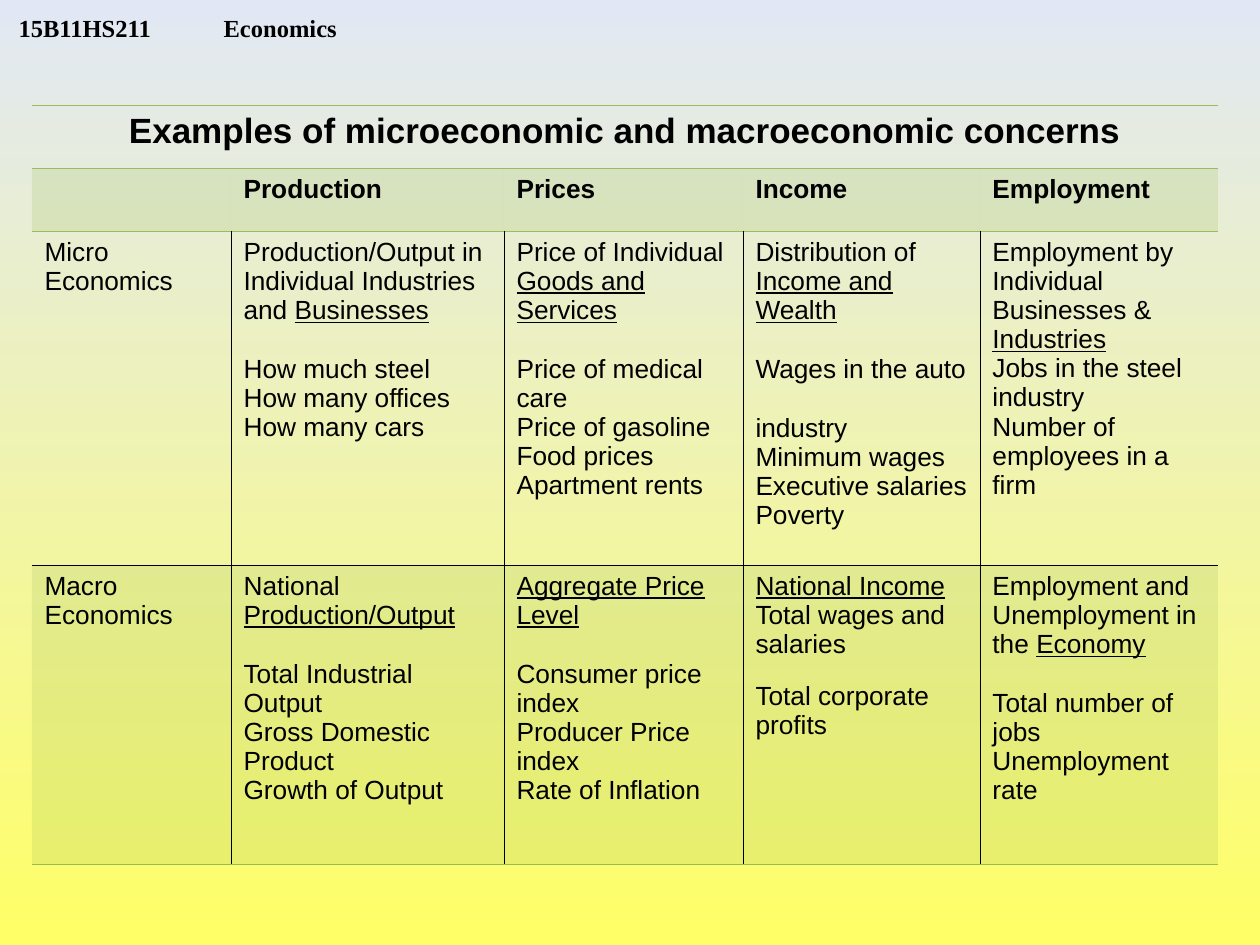
from lxml import etree
from pptx import Presentation
from pptx import util as u
from pptx.dml.color import RGBColor
from pptx.enum import text
from pptx.oxml import parse_xml
from pptx.oxml.ns import nsdecls, qn

PX = 914400 / 126
COLORS = {"ink": "000000", "green": "9BBB59", "yellow": "FFFF66", "sky": "E1E8F5"}
NO_STYLE_NO_GRID = "{2D5ABB26-0587-4C30-8999-92F81FD0307C}"
BORDER_WIDTH = u.Pt(0.45)
LINE_GAP = 17
SHORT_GAP = 13

COLUMN_WIDTHS = [199, 273, 239, 237, 238]
ROW_HEIGHTS = [63, 63, 334, 299]
SHADED_ROWS = (1, 3)
FIRST_BODY_ROW = 2
ROW_EDGES = [("green", "green"), ("green", None), (None, "ink"), ("ink", "green")]


def px(length):
    return u.Emu(round(length * PX))


def rgb(name):
    return RGBColor.from_string(COLORS[name])


def line(plain, underlined="", gap=0):
    """One paragraph: plain text, an underlined ending, and points of space before."""
    return plain, underlined, gap


TITLE = "Examples of microeconomic and macroeconomic concerns"
HEADINGS = ["", "Production", "Prices", "Income", "Employment"]
MICRO = [
    [line("Micro"), line("Economics")],
    [line("Production/Output in Individual Industries and ", "Businesses"),
     line("How much steel", gap=LINE_GAP), line("How many offices"),
     line("How many cars")],
    [line("Price of Individual ", "Goods and Services"),
     line("Price of medical care", gap=LINE_GAP), line("Price of gasoline"),
     line("Food prices"), line("Apartment rents")],
    [line("Distribution of ", "Income and Wealth"),
     line("Wages in the auto", gap=LINE_GAP), line("industry", gap=LINE_GAP),
     line("Minimum wages"), line("Executive salaries"), line("Poverty")],
    [line("Employment by Individual Businesses & ", "Industries"),
     line("Jobs in the steel industry"), line("Number of employees in a firm")],
]
MACRO = [
    [line("Macro"), line("Economics")],
    [line("National ", "Production/Output"),
     line("Total Industrial Output", gap=LINE_GAP),
     line("Gross Domestic Product"), line("Growth of Output")],
    [line("", "Aggregate Price Level"),
     line("Consumer price index", gap=LINE_GAP), line("Producer Price index"),
     line("Rate of Inflation")],
    [line("", "National Income"), line("Total wages and salaries"),
     line("Total corporate profits", gap=SHORT_GAP)],
    [line("Employment and Unemployment in the ", "Economy"),
     line("Total number of jobs", gap=LINE_GAP), line("Unemployment rate")],
]
ROWS = [[[line(TITLE)]], [[line(heading)] for heading in HEADINGS], MICRO, MACRO]


def format_font(font, name, size, bold):
    font.name, font.size, font.bold = name, u.Pt(size), bold
    font.color.rgb = rgb("ink")


def paint_background(slide):
    fill = slide.background.fill
    fill.gradient()
    fill.gradient_angle = 90
    for stop, name in zip(fill.gradient_stops, ("yellow", "sky")):
        stop.color.rgb = rgb(name)


def add_course_header(slide, left, top, width, height):
    header = slide.shapes.title
    header.left, header.top = px(left), px(top)
    header.width, header.height = px(width), px(height)
    frame = header.text_frame
    frame.margin_top = frame.margin_bottom = 0
    frame.vertical_anchor = text.MSO_ANCHOR.BOTTOM
    frame.auto_size = text.MSO_AUTO_SIZE.NONE
    frame.text = "15B11HS211\tEconomics"
    paragraph = frame.paragraphs[0]
    paragraph.alignment = text.PP_ALIGN.LEFT
    paragraph.line_spacing = 1.0
    properties = paragraph._p.get_or_add_pPr()
    tabs = etree.SubElement(properties, qn("a:tabLst"))
    etree.SubElement(tabs, qn("a:tab"), pos=str(px(205)), algn="l")
    for run in paragraph.runs:
        format_font(run.font, "Times New Roman", 14, True)


def write_cell(cell, lines, size, bold, alignment):
    frame = cell.text_frame
    for index, (plain, underlined, gap) in enumerate(lines):
        paragraph = frame.add_paragraph() if index else frame.paragraphs[0]
        paragraph.alignment = alignment
        if gap:
            paragraph.space_before = u.Pt(gap)
        for content, is_underlined in ((plain, False), (underlined, True)):
            if content:
                run = paragraph.add_run()
                run.text = content
                format_font(run.font, "Arial", size, bold)
                run.font.underline = is_underlined


def set_borders(cell, edges):
    """Draw the coloured edges, given in the order left, right, top, bottom."""
    properties = cell._tc.get_or_add_tcPr()
    drawn = [(side, name) for side, name in zip("LRTB", edges) if name]
    for index, (side, name) in enumerate(drawn):
        properties.insert(index, parse_xml(
            f'<a:ln{side} {nsdecls("a")} w="{BORDER_WIDTH}"><a:solidFill>'
            f'<a:srgbClr val="{COLORS[name]}"/></a:solidFill></a:ln{side}>'))


def shade_cell(cell, shaded):
    if not shaded:
        cell.fill.background()
        return
    cell.fill.solid()
    cell.fill.fore_color.rgb = rgb("green")
    color = cell._tc.tcPr.find(qn("a:solidFill"))[0]
    etree.SubElement(color, qn("a:alpha"), val="20000")


def add_concerns_table(slide, left, top):
    frame = slide.shapes.add_table(
        len(ROW_HEIGHTS), len(COLUMN_WIDTHS), px(left), px(top),
        px(sum(COLUMN_WIDTHS)), px(sum(ROW_HEIGHTS)))
    table = frame.table
    table.first_row = table.horz_banding = False
    table._tbl.tblPr.find(qn("a:tableStyleId")).text = NO_STYLE_NO_GRID
    for column, width in zip(table.columns, COLUMN_WIDTHS):
        column.width = px(width)
    for row, height in zip(table.rows, ROW_HEIGHTS):
        row.height = px(height)
    last = len(COLUMN_WIDTHS) - 1
    table.cell(0, 0).merge(table.cell(0, last))

    for r, (contents, (above, below)) in enumerate(zip(ROWS, ROW_EDGES)):
        is_body = r >= FIRST_BODY_ROW
        size = 15 if r else 20
        alignment = text.PP_ALIGN.LEFT if r else text.PP_ALIGN.CENTER
        for c, lines in enumerate(contents):
            write_cell(table.cell(r, c), lines, size, not is_body, alignment)
        for c in range(last + 1):
            cell = table.cell(r, c)
            shade_cell(cell, r in SHADED_ROWS)
            before = "ink" if is_body and c > 0 else None
            after = "ink" if is_body and c < last else None
            set_borders(cell, (before, after, above, below))


def main():
    presentation = Presentation()
    presentation.slide_width, presentation.slide_height = px(1260), px(945)
    slide = presentation.slides.add_slide(presentation.slide_layouts[5])
    paint_background(slide)
    add_course_header(slide, 6, 0, 403, 42)
    add_concerns_table(slide, 32, 105)
    presentation.save("out.pptx")


if __name__ == "__main__":
    main()
